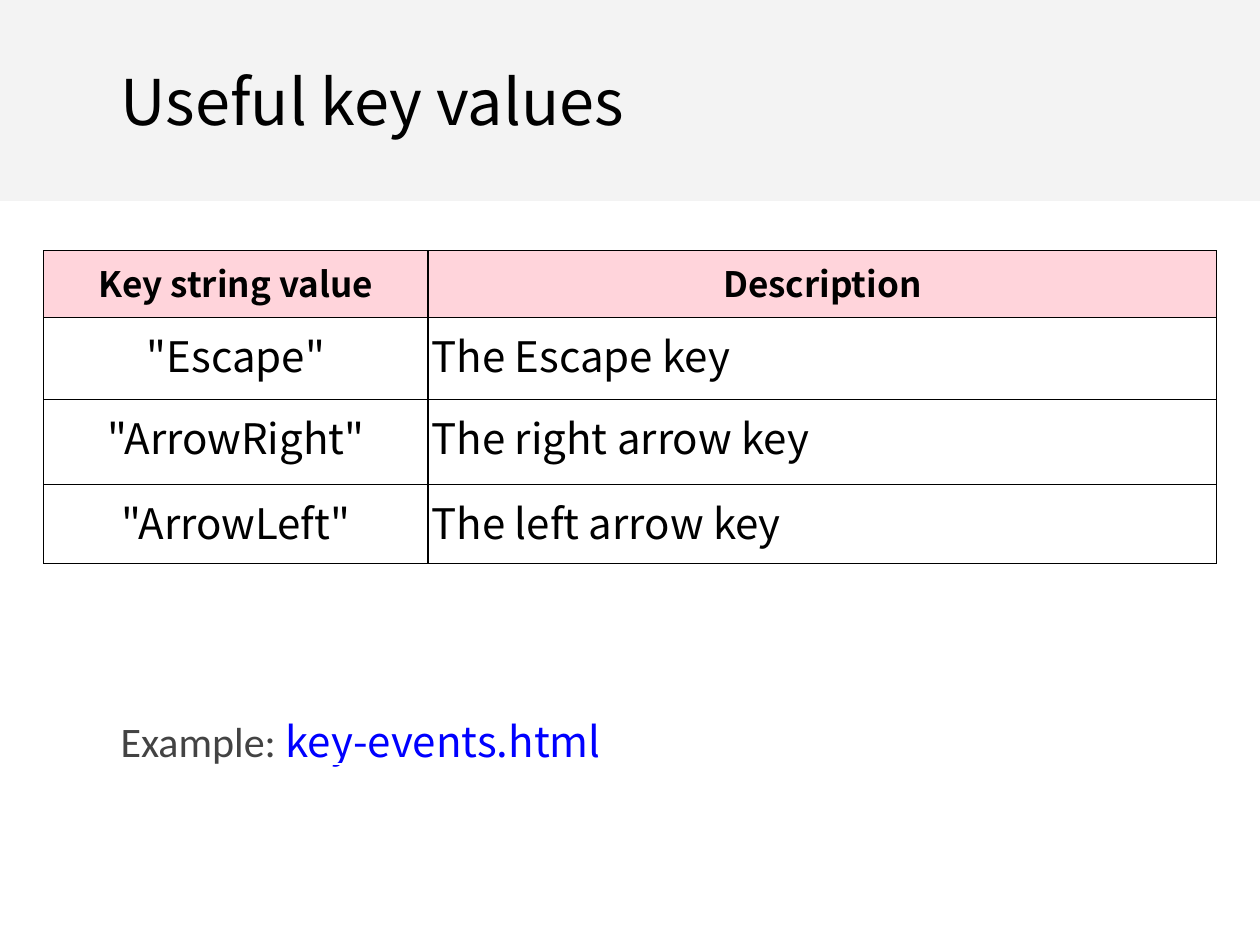
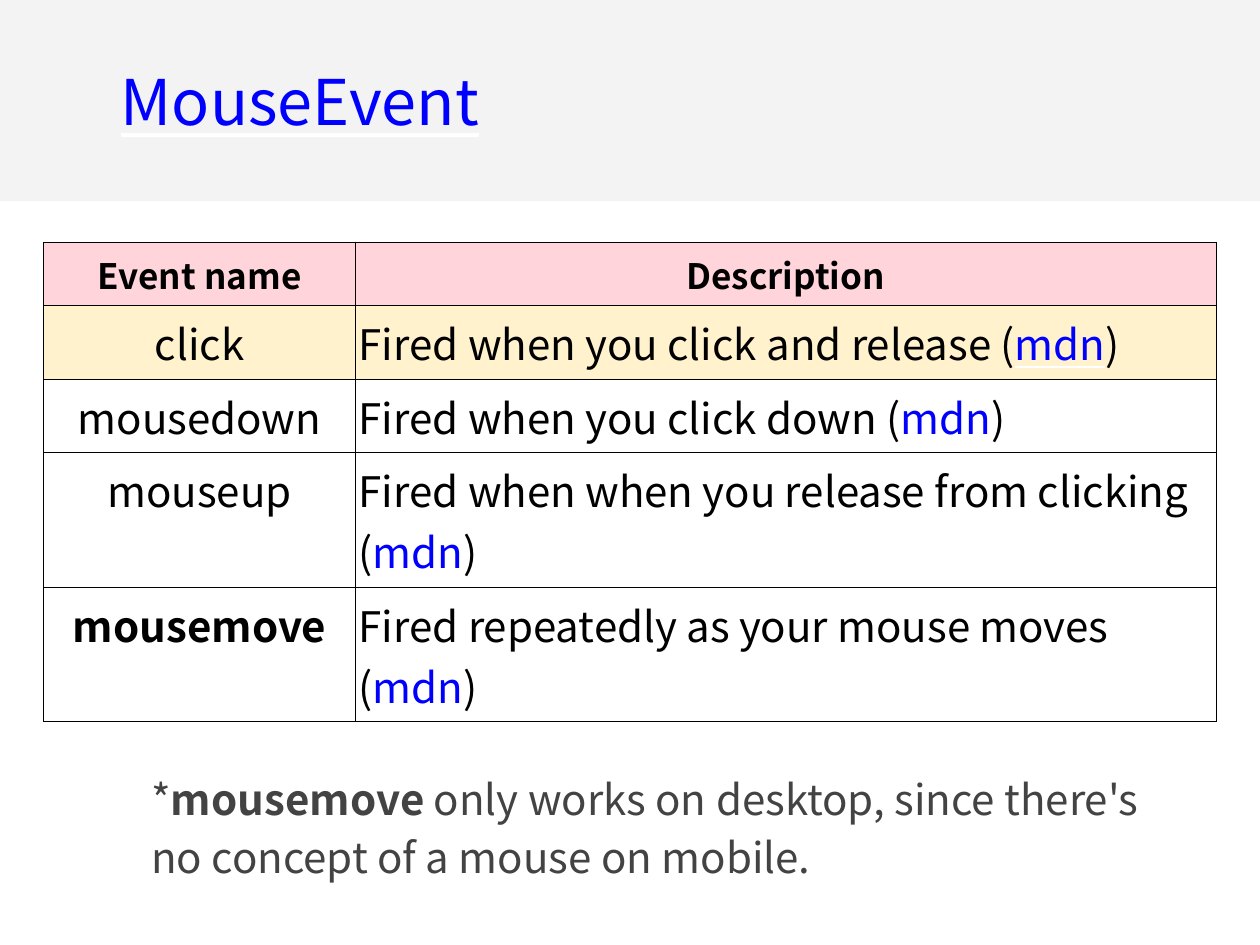
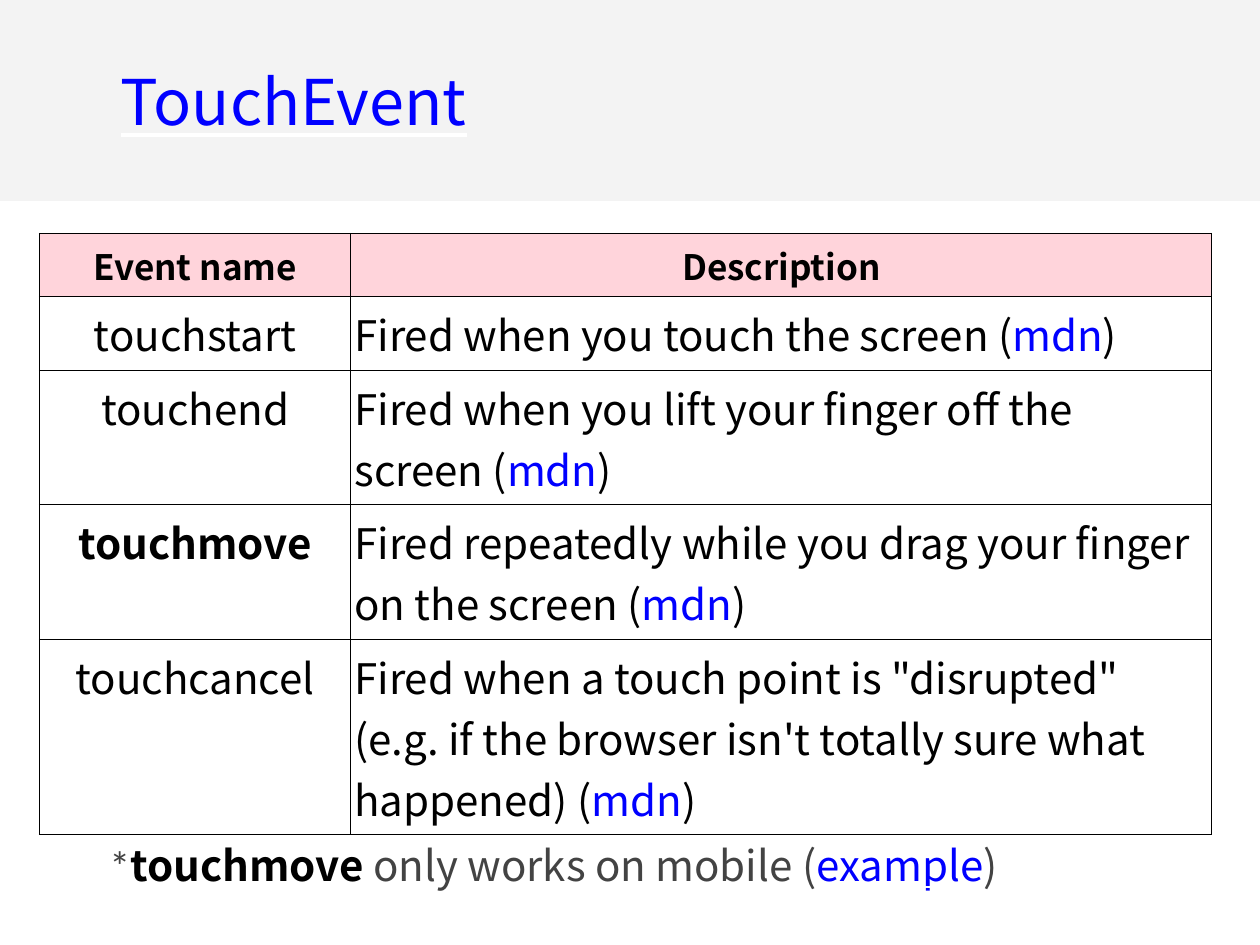
from dataclasses import dataclass

from lxml import etree
from pptx import Presentation
from pptx.dml.color import RGBColor
from pptx.enum.shapes import MSO_SHAPE
from pptx.enum.text import MSO_ANCHOR, MSO_AUTO_SIZE, PP_ALIGN
from pptx.oxml.ns import qn
from pptx.util import Pt

RECT = MSO_SHAPE.RECTANGLE
LEFT, CENTER = PP_ALIGN.LEFT, PP_ALIGN.CENTER
TOP, MIDDLE = MSO_ANCHOR.TOP, MSO_ANCHOR.MIDDLE
PLAIN = "{2D5ABB26-0587-4C30-8999-92F81FD0307C}"  # no table style


@dataclass(frozen=True)
class Theme:
    face: str = "Noto Sans CJK SC"
    alt: str = "Calibri"
    ink: str = "000000"
    gray: str = "434343"
    link: str = "0000FF"
    under: str = "FFFFFF"
    band: str = "F3F3F3"
    head: str = "FFC2CC"
    mark: str = "FFF2CC"
    alpha: int = 70
    title: float = 36
    label: float = 20
    body: float = 24


T = Theme()


@dataclass(frozen=True)
class Run:
    text: str
    bold: bool = False
    link: bool = False
    color: str = ""
    face: str = ""


@dataclass(frozen=True)
class Row:
    name: Run
    desc: list[Run]
    high: float
    fill: str = ""


@dataclass(frozen=True)
class Note:
    left: float
    top: float
    high: float
    runs: list[Run]


@dataclass(frozen=True)
class Page:
    title: Run
    left: float
    top: float
    cols: tuple[float, float]
    head: tuple[str, float]
    rows: list[Row]
    note: Note


def event(name: str, desc: str, lines: int, bold: bool = False, fill: str = "") -> Row:
    """Make a row whose description ends in a reference link."""
    runs = [Run(f"{desc} ("), Run("mdn", link=True), Run(")")]
    return Row(Run(name, bold), runs, 5 + 35.3 * lines, fill)


def key(name: str, desc: str, high: float) -> Row:
    return Row(Run(f'"{name}"'), [Run(desc)], high)


COLS = (178, 492)
HEAD = ("Event name", 34.5)
PAGES = [
    Page(
        Run("Useful key values"), 25, 143.2, (219.6, 450.6), ("Key string value", 38.2),
        [
            key("Escape", "The Escape key", 46.8),
            key("ArrowRight", "The right arrow key", 48.6),
            key("ArrowLeft", "The left arrow key", 45.2),
        ],
        Note(61.8, 397.6, 122.4, [
            Run("Example: ", face=T.alt),
            Run("key-events.html", link=True),
        ]),
    ),
    Page(
        Run("MouseEvent", link=True), 25, 138.4, COLS, HEAD,
        [
            event("click", "Fired when you click and release", 1, fill=T.mark),
            event("mousedown", "Fired when you click down", 1),
            event("mouseup", "Fired when when you release from clicking", 2),
            event("mousemove", "Fired repeatedly as your mouse moves", 2, bold=True),
        ],
        Note(79.4, 430.6, 76.4, [
            Run("*"),
            Run("mousemove", bold=True),
            Run(" only works on desktop, since there's no concept of a mouse on mobile."),
        ]),
    ),
    Page(
        Run("TouchEvent", link=True), 22.5, 133.3, COLS, HEAD,
        [
            event("touchstart", "Fired when you touch the screen", 1, fill="FFFFFF"),
            event("touchend", "Fired when you lift your finger off the screen", 2),
            event("touchmove", "Fired repeatedly while you drag your finger on the screen",
                  2, bold=True),
            event("touchcancel", 'Fired when a touch point is "disrupted" (e.g. if the '
                  "browser isn't totally sure what happened)", 3),
        ],
        Note(55.4, 468, 76.4, [
            Run("*", face=T.alt),
            Run("touchmove", bold=True, color=T.ink),
            Run(" only works on mobile ("),
            Run("example", link=True),
            Run(")"),
        ]),
    ),
]


def solid(parent, color: str) -> None:
    fill = etree.SubElement(parent, qn("a:solidFill"))
    etree.SubElement(fill, qn("a:srgbClr"), val=color)


def write(frame, runs: list[Run], size: float, color: str = T.ink, align=LEFT,
          space: float = 1) -> None:
    """Fill the first paragraph of a text frame."""
    para = frame.paragraphs[0]
    para.alignment = align
    para.line_spacing = space
    para.font.name = T.face
    para.font.size = Pt(size)
    para.font.color.rgb = RGBColor.from_string(color)
    for item in runs:
        run = para.add_run()
        run.text = item.text
        font = run.font
        font.bold = item.bold
        tint = T.link if item.link else item.color
        if tint:
            font.color.rgb = RGBColor.from_string(tint)
        if item.link:
            font.underline = True
            solid(etree.SubElement(run._r.rPr, qn("a:uFill")), T.under)
        if item.face:
            font.name = item.face


def setup(frame, anchor) -> None:
    frame.word_wrap = True
    frame.auto_size = MSO_AUTO_SIZE.NONE
    frame.vertical_anchor = anchor
    frame.margin_left = frame.margin_right = Pt(7.2)
    frame.margin_top = frame.margin_bottom = Pt(7.2)


def add_band(slide) -> None:
    """Put the title band on the layout, so that every slide shows it."""
    band = slide.shapes.add_shape(RECT, 0, 0, Pt(720), Pt(114.8))
    band.shadow.inherit = False
    band.fill.solid()
    band.fill.fore_color.rgb = RGBColor.from_string(T.band)
    band.line.fill.background()
    slide.slide_layout.shapes._spTree.insert(2, band._element)


def add_title(slide, run: Run) -> None:
    title = slide.shapes.title
    title.left, title.top = Pt(61.8), Pt(27.4)
    title.width, title.height = Pt(597), Pt(59.8)
    setup(title.text_frame, MIDDLE)
    write(title.text_frame, [run], T.title)


def style(cell, fill: str, alpha: int = 100) -> None:
    """Set margins, borders and fill of a cell."""
    cell.margin_left = cell.margin_right = Pt(2)
    cell.margin_top = cell.margin_bottom = Pt(3.6)
    cell.vertical_anchor = TOP
    props = cell._tc.get_or_add_tcPr()
    for side in ("lnL", "lnR", "lnT", "lnB"):
        solid(etree.SubElement(props, qn(f"a:{side}"), w=str(Pt(0.75))), T.ink)
    if not fill:
        cell.fill.background()
        return
    cell.fill.solid()
    cell.fill.fore_color.rgb = RGBColor.from_string(fill)
    if alpha < 100:
        color = props.find(f"{qn('a:solidFill')}/{qn('a:srgbClr')}")
        etree.SubElement(color, qn("a:alpha"), val=str(alpha * 1000))


def add_grid(slide, page: Page) -> None:
    label, high = page.head
    highs = [high] + [row.high for row in page.rows]
    shape = slide.shapes.add_table(len(highs), 2, Pt(page.left), Pt(page.top),
                                   Pt(sum(page.cols)), Pt(sum(highs)))
    table = shape.table
    table.first_row = table.horz_banding = False
    table._tbl.tblPr.find(qn("a:tableStyleId")).text = PLAIN
    for col, wide in zip(table.columns, page.cols):
        col.width = Pt(wide)
    for line, tall in zip(table.rows, highs):
        line.height = Pt(tall)
    for col, text in enumerate((label, "Description")):
        cell = table.cell(0, col)
        style(cell, T.head, T.alpha)
        write(cell.text_frame, [Run(text, bold=True)], T.label, align=CENTER)
    for num, row in enumerate(page.rows, 1):
        for col, (runs, align) in enumerate((([row.name], CENTER), (row.desc, LEFT))):
            cell = table.cell(num, col)
            style(cell, row.fill)
            write(cell.text_frame, runs, T.body, align=align)


def add_note(slide, note: Note) -> None:
    box = slide.shapes.add_textbox(Pt(note.left), Pt(note.top), Pt(597), Pt(note.high))
    setup(box.text_frame, TOP)
    write(box.text_frame, note.runs, T.body, T.gray, space=1.15)


def main() -> None:
    deck = Presentation()
    deck.slide_width, deck.slide_height = Pt(720), Pt(540)
    layout = deck.slide_layouts.get_by_name("Title Only")
    for num, page in enumerate(PAGES):
        slide = deck.slides.add_slide(layout)
        if num == 0:
            add_band(slide)
        add_title(slide, page.title)
        add_grid(slide, page)
        add_note(slide, page.note)
    deck.save("out.pptx")


if __name__ == "__main__":
    main()
